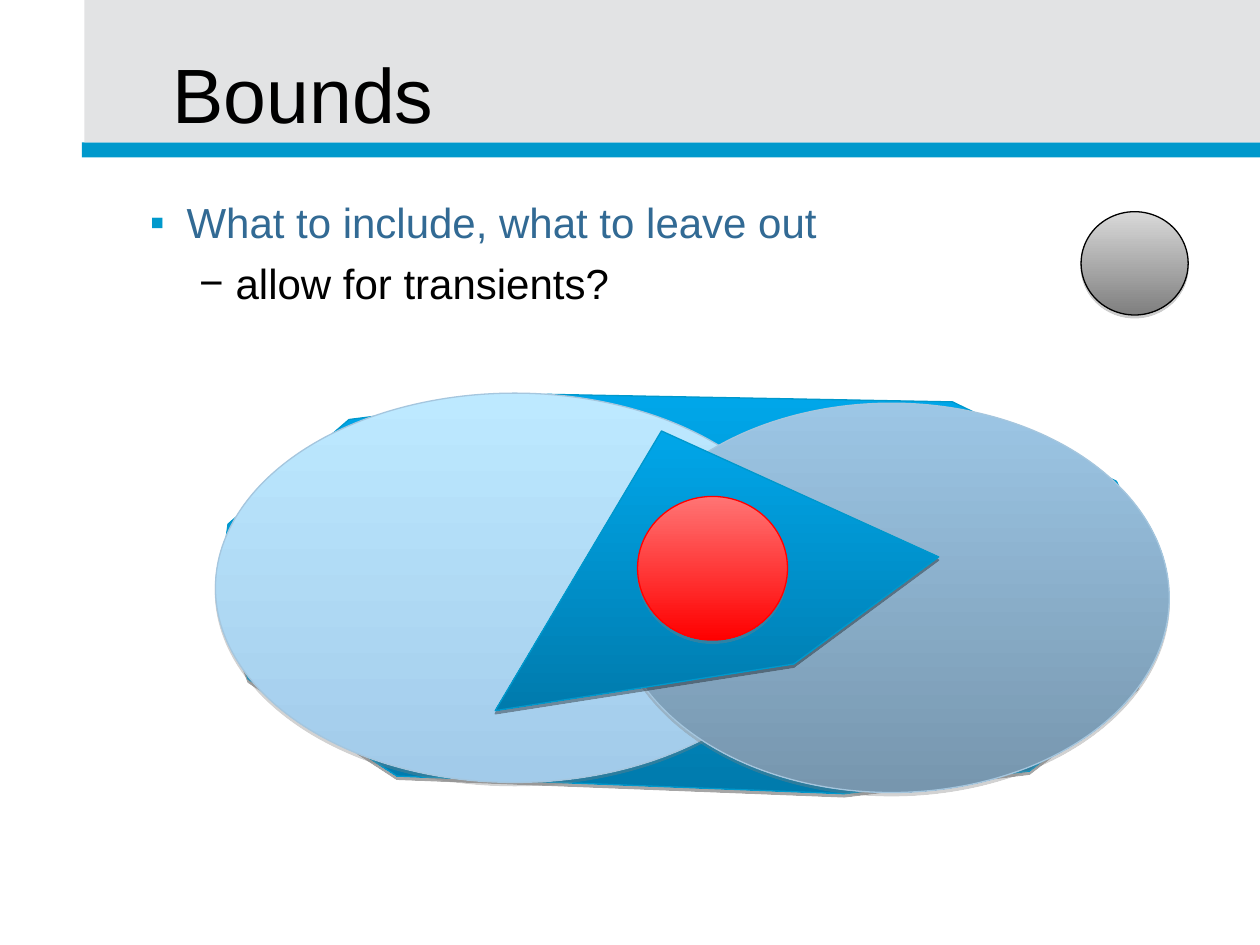
import pptx
import pptx.util
from pptx.dml.color import RGBColor
from pptx.enum.shapes import MSO_SHAPE
from pptx.enum.text import MSO_ANCHOR
from pptx.oxml.ns import qn
from lxml import etree

Inches = pptx.util.Inches
Pt = pptx.util.Pt

COLORS = {
    "bar": "0099CC", "band": "E2E3E4", "head": "326A94", "text": "000000",
    "edge": "0098CC", "rim": "A5C6DE", "red": "FF0000", "shade": "808080",
}
GRADS = {
    "blue": ("00A6E9", "007BAD"), "sky": ("BDE9FF", "A2CBEA"),
    "steel": ("9CC6E5", "7796AE"), "red": ("FF7474", "FF0000"),
    "gray": ("D9D9D9", "7F7F7F"),
}
FONT = "Arial"

HULL = [(1.81, 4.16), (2.77, 3.33), (4.35, 3.13), (7.56, 3.19), (8.86, 3.82),
        (9.28, 4.71), (9.03, 5.45), (8.17, 6.12), (6.7, 6.3), (3.15, 6.16),
        (1.97, 5.39), (1.73, 4.74)]
CORE = [(7.45, 4.42), (5.25, 3.42), (3.93, 5.64), (6.3, 5.27)]


def rgb(name):
    return RGBColor.from_string(COLORS[name])


def add_rect(slide, box, color):
    shape = slide.shapes.add_shape(MSO_SHAPE.RECTANGLE, *map(Inches, box))
    shape.shadow.inherit = False
    shape.fill.solid()
    shape.fill.fore_color.rgb = rgb(color)
    shape.line.fill.background()


def add_shade(shape, color, alpha, dist):
    """Cast a shadow straight down."""
    shape.shadow.inherit = False
    effect = shape._element.spPr.find(qn("a:effectLst"))
    outer = etree.SubElement(effect, qn("a:outerShdw"), dist=str(Pt(dist)),
                             dir="5400000", rotWithShape="0")
    tone = etree.SubElement(outer, qn("a:srgbClr"), val=COLORS[color])
    etree.SubElement(tone, qn("a:alpha"), val=str(alpha * 1000))


def paint(shape, grad, line, shade="shade", alpha=35, dist=1.8):
    """Fill from top to bottom, with a thin line and a shadow."""
    shape.fill.gradient()
    shape.fill.gradient_angle = 270
    for stop, tone in zip(shape.fill.gradient_stops, GRADS[grad]):
        stop.color.rgb = RGBColor.from_string(tone)
    shape.line.color.rgb = rgb(line)
    shape.line.width = Pt(0.75)
    add_shade(shape, shade, alpha, dist)


def add_oval(slide, box, grad, line, **shade):
    shape = slide.shapes.add_shape(MSO_SHAPE.OVAL, *map(Inches, box))
    paint(shape, grad, line, **shade)


def add_poly(slide, points):
    first, *rest = [(Inches(x), Inches(y)) for x, y in points]
    maker = slide.shapes.build_freeform(*first)
    maker.add_line_segments(rest, close=True)
    paint(maker.convert_to_shape(), "blue", "edge", shade="text")


def add_frame(slide, box, side):
    frame = slide.shapes.add_textbox(*map(Inches, box)).text_frame
    frame.word_wrap = True
    frame.margin_left = frame.margin_right = Inches(side)
    return frame


def style(para, size, color):
    for run in para.runs:
        run.font.name = FONT
        run.font.size = Pt(size)
        run.font.color.rgb = rgb(color)


def add_bullet(para, mark, color, left, hang):
    props = para._p.get_or_add_pPr()
    props.set("marL", str(Inches(left)))
    props.set("indent", str(-Inches(hang)))
    tone = etree.SubElement(props, qn("a:buClr"))
    etree.SubElement(tone, qn("a:srgbClr"), val=COLORS[color])
    etree.SubElement(props, qn("a:buFont"), typeface=FONT)
    etree.SubElement(props, qn("a:buChar"), char=mark)


def add_title(slide, text):
    frame = add_frame(slide, (1.27, 0.28, 8.11, 0.91), 0.1)
    frame.vertical_anchor = MSO_ANCHOR.MIDDLE
    frame.text = text
    style(frame.paragraphs[0], 44, "text")


def add_body(slide):
    frame = add_frame(slide, (1.19, 1.51, 8.05, 5.42), 0)
    head = frame.paragraphs[0]
    head.text = "What to include, what to leave out"
    add_bullet(head, "▪", "bar", 0.29, 0.29)
    style(head, 24, "head")

    sub = frame.add_paragraph()
    sub.text = "allow for transients?"
    sub.level = 1
    sub.space_before = Pt(6)
    add_bullet(sub, "−", "text", 0.68, 0.29)
    style(sub, 24, "text")


def main():
    deck = pptx.Presentation()
    deck.slide_width, deck.slide_height = Inches(10), Inches(7.5)
    slide = deck.slides.add_slide(deck.slide_layouts[6])

    # Header band and text
    add_rect(slide, (0.65, 1.13, 9.35, 0.12), "bar")
    add_rect(slide, (0.67, 0, 9.33, 1.13), "band")
    add_body(slide)
    add_title(slide, "Bounds")

    # Nested bounds, from outer to inner
    add_poly(slide, HULL)
    add_oval(slide, (1.71, 3.12, 4.75, 3.09), "sky", "rim")
    add_oval(slide, (4.87, 3.2, 4.41, 3.09), "steel", "rim")
    add_poly(slide, CORE)
    add_oval(slide, (5.06, 3.94, 1.19, 1.14), "red", "red")

    # Item left outside
    add_oval(slide, (8.58, 1.68, 0.85, 0.82), "gray", "text",
             alpha=38, dist=1.6)

    deck.save("out.pptx")


if __name__ == "__main__":
    main()
